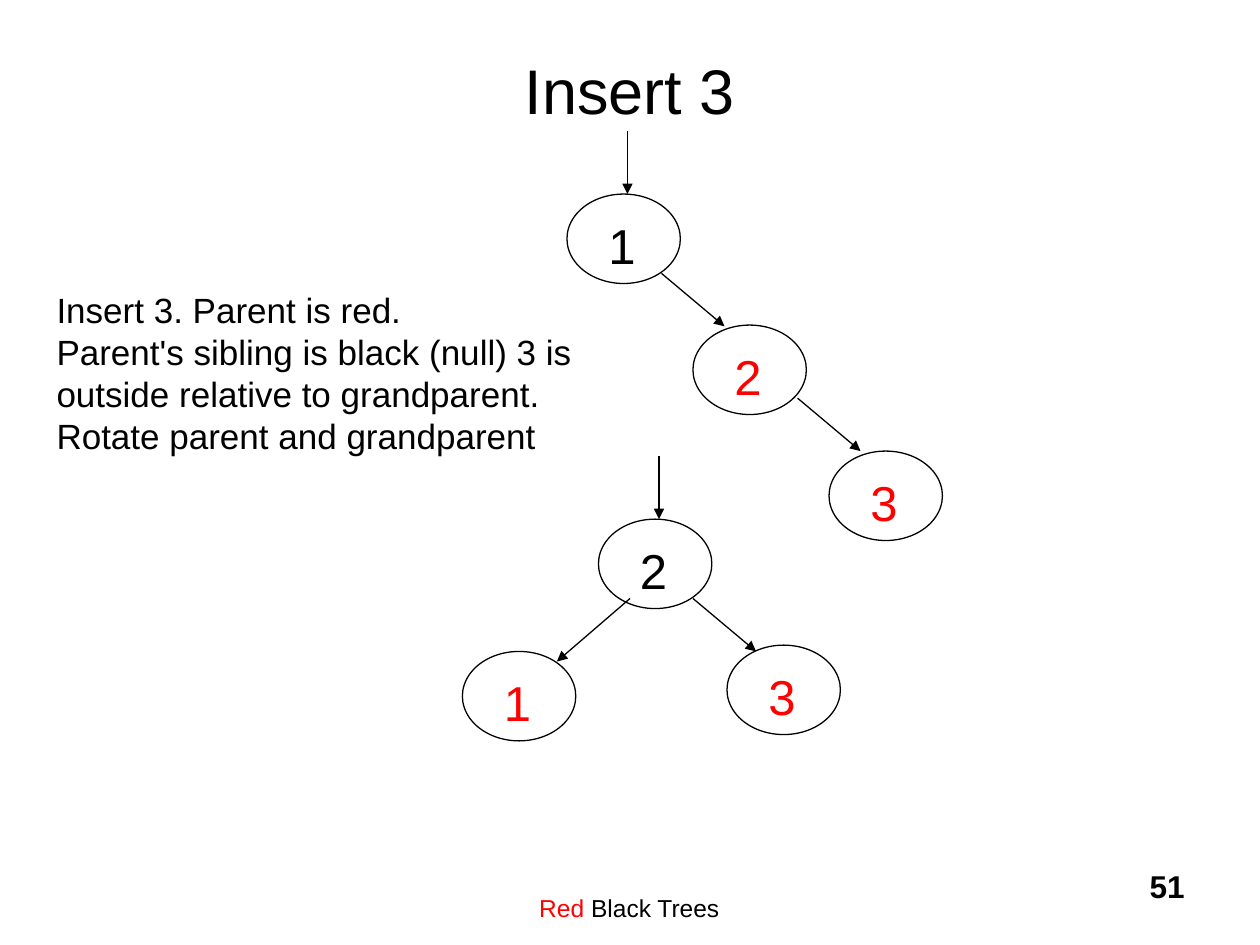
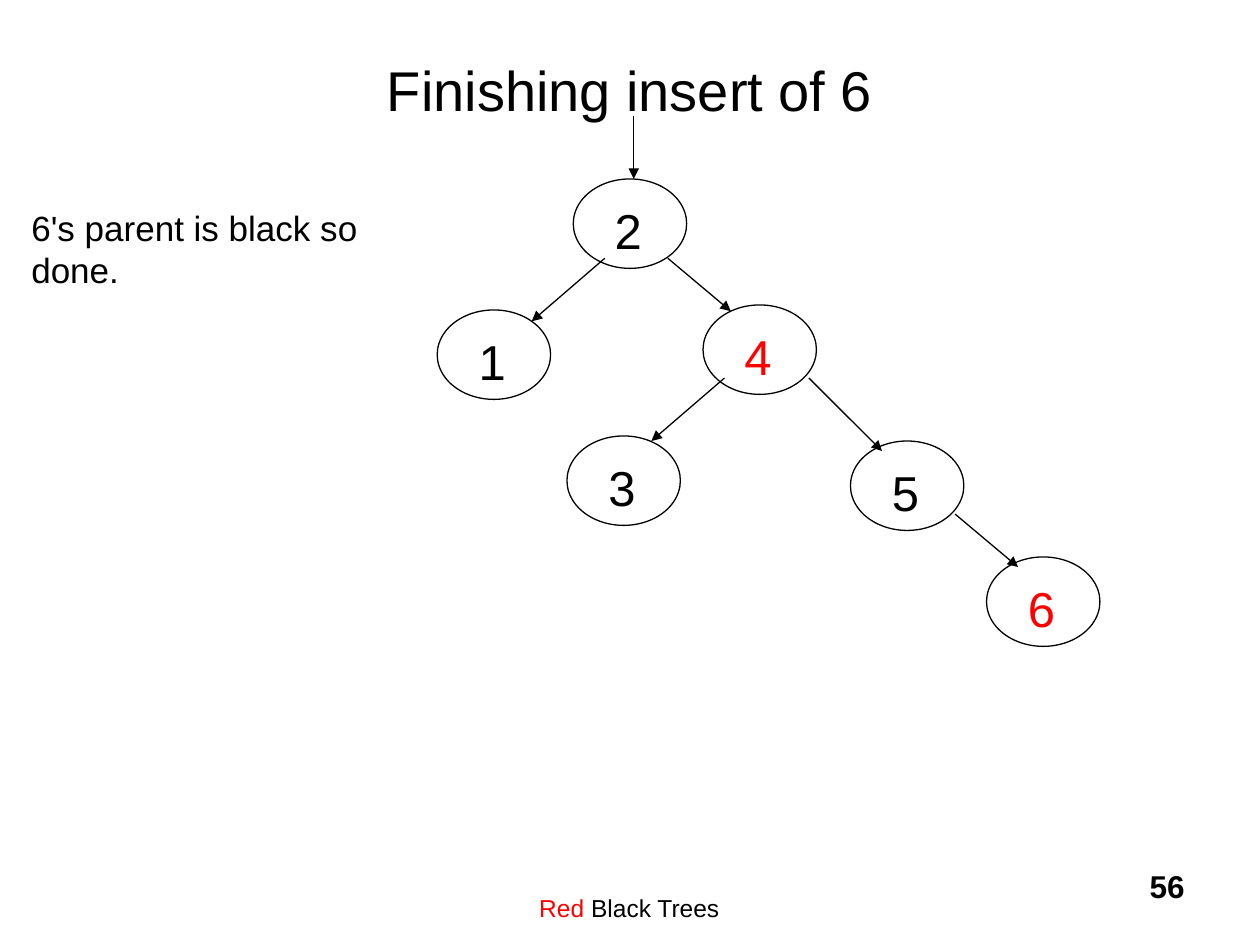
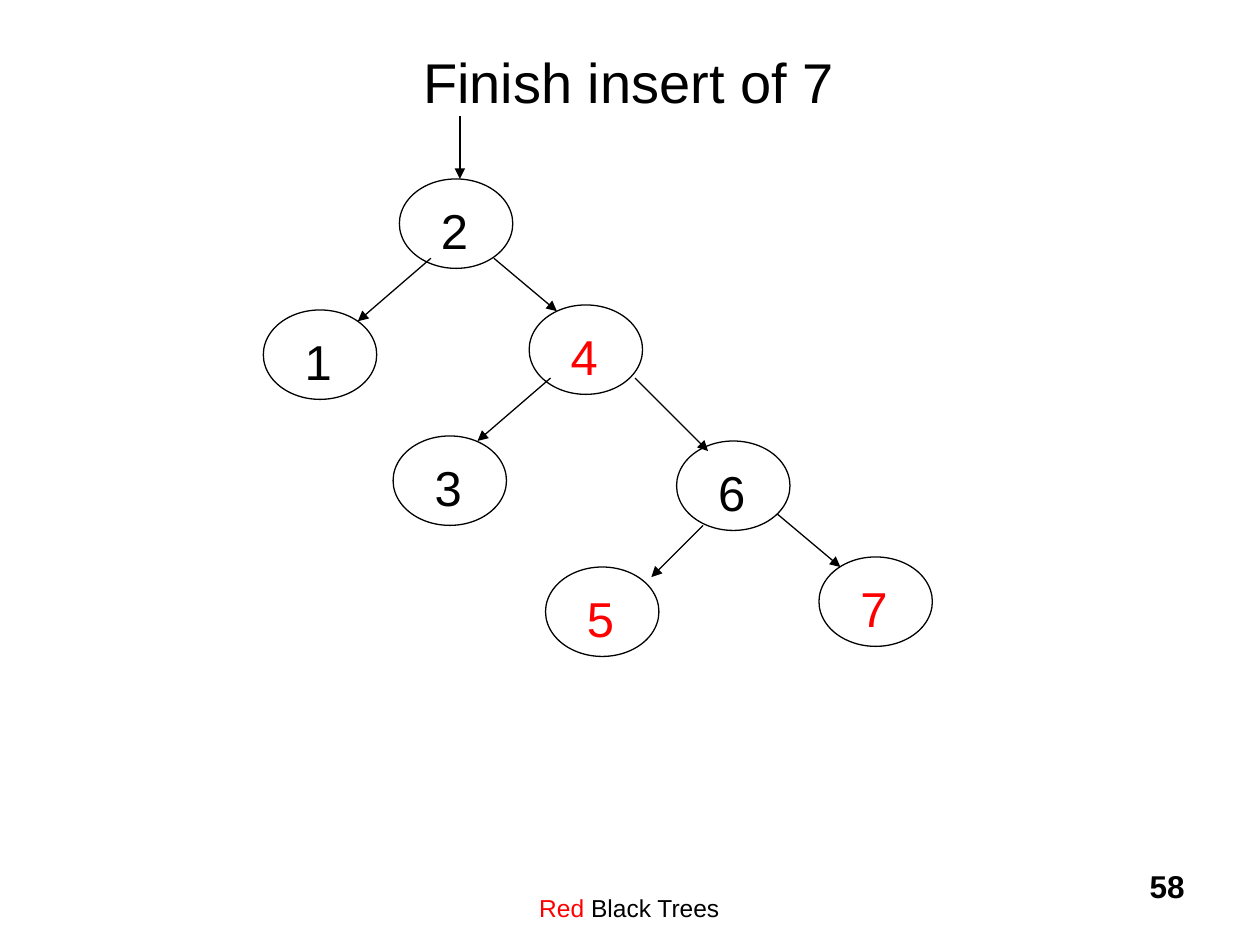
from typing import NamedTuple

from lxml.etree import SubElement
from pptx import Presentation
from pptx.dml.color import RGBColor
from pptx.enum.shapes import MSO_CONNECTOR as Connector, MSO_SHAPE as Preset
from pptx.enum.text import MSO_ANCHOR as Anchor, PP_ALIGN as Align
from pptx.oxml.ns import qn
from pptx.shapes.group import GroupShape
from pptx.slide import Slide
from pptx.util import Inches, Pt

BLACK = RGBColor(0x00, 0x00, 0x00)
RED = RGBColor(0xFF, 0x00, 0x00)
FONT = "Arial"
LINE_WIDTH = Pt(0.75)
NODE_WIDTH, NODE_HEIGHT = 0.9, 0.71


class Box(NamedTuple):
    left: float
    top: float
    width: float
    height: float


class Branch(NamedTuple):
    """Arrow that starts at an offset from the node's corner."""
    dx: float
    dy: float
    run: float
    drop: float


class Node(NamedTuple):
    """Tree node, placed relative to the root of its tree."""
    key: str
    dx: float
    dy: float
    color: RGBColor = BLACK
    branches: tuple[Branch, ...] = ()


class Tree(NamedTuple):
    left: float
    top: float
    nodes: tuple[Node, ...]


class Explanation(NamedTuple):
    box: Box
    text: str


class Step(NamedTuple):
    title: str
    title_size: int
    page: int
    trees: tuple[Tree, ...]
    explanation: Explanation | None = None
    title_box: Box = Box(0.75, 0.08, 8.5, 1.25)


# Arrows into the root and out of the nodes
ENTRY = Branch(0.48, -0.5, 0, 0.5)
LEFT = Branch(0.25, 0.63, -0.58, 0.5)
RIGHT = Branch(0.75, 0.63, 0.5, 0.42)
OUTER_LEFT = Branch(0.17, 0.58, -0.58, 0.5)
OUTER_RIGHT = Branch(0.83, 0.58, 0.5, 0.42)
STEEP_LEFT = Branch(0.21, 0.67, -0.41, 0.41)
STEEP_RIGHT = Branch(0.84, 0.58, 0.58, 0.58)

# Nodes that stay the same while 6 and 7 are inserted
SETTLED = (
    Node("2", 0, 0, branches=(LEFT, RIGHT)),
    Node("1", -1.08, 1.04),
    Node("4", 1.03, 1, RED, (OUTER_LEFT, STEEP_RIGHT)),
    Node("3", -0.05, 2.04),
)

STEPS = (
    Step(
        "Insert 3", 36, 51,
        (
            Tree(4.5, 1.54, (
                Node("1", 0, 0, branches=(RIGHT,)),
                Node("2", 1, 1.04, RED, (OUTER_RIGHT,)),
                Node("3", 2.08, 2.04, RED),
            )),
            Tree(4.75, 4.12, (
                Node("2", 0, 0, branches=(LEFT, RIGHT)),
                Node("1", -1.08, 1.05, RED),
                Node("3", 1.02, 1, RED),
            )),
        ),
        Explanation(
            Box(0.35, 2.24, 4.32, 1.45),
            "Insert 3. Parent is red. \vParent's sibling is black (null) 3 is "
            "outside relative to grandparent. Rotate parent and grandparent",
        ),
    ),
    Step(
        "Finishing insert of 6", 32, 56,
        (Tree(4.55, 1.42, SETTLED + (
            Node("5", 2.2, 2.08, branches=(OUTER_RIGHT,)),
            Node("6", 3.28, 3, RED),
        )),),
        Explanation(Box(0.15, 1.59, 3.38, 0.77), "6's parent is black so done."),
    ),
    Step(
        "Finish insert of 7", 32, 58,
        (Tree(3.17, 1.42, SETTLED + (
            Node("6", 2.2, 2.08, branches=(STEEP_LEFT, OUTER_RIGHT._replace(dx=0.8))),
            Node("5", 1.16, 3.08, RED),
            Node("7", 3.33, 3, RED),
        )),),
        title_box=Box(0.74, 0.02, 8.5, 1.25),
    ),
)


def add_text(parent: Slide | GroupShape, box: Box, runs: list[tuple[str, RGBColor]],
             size: int, align: Align = Align.LEFT, bold: bool = False, **frame_format):
    """Add one paragraph of coloured runs; frame_format sets the text frame."""
    frame = parent.shapes.add_textbox(*map(Inches, box)).text_frame
    for attribute, value in {"word_wrap": True, **frame_format}.items():
        setattr(frame, attribute, value)
    paragraph = frame.paragraphs[0]
    paragraph.alignment = align
    for text, color in runs:
        for position, part in enumerate(text.split("\v")):
            if position:
                paragraph.add_line_break()
            run = paragraph.add_run()
            run.text = part
            font_format = {"name": FONT, "size": Pt(size), "bold": bold}
            for attribute, value in font_format.items():
                setattr(run.font, attribute, value)
            run.font.color.rgb = color


def draw_arrow(slide: Slide, left: float, top: float, branch: Branch) -> None:
    x, y = left + branch.dx, top + branch.dy
    ends = (x, y, x + branch.run, y + branch.drop)
    arrow = slide.shapes.add_connector(Connector.STRAIGHT, *map(Inches, ends))
    arrow.line.color.rgb = BLACK
    arrow.line.width = LINE_WIDTH
    SubElement(arrow.line._get_or_add_ln(), qn("a:tailEnd"), type="triangle")
    SubElement(arrow._element.spPr, qn("a:effectLst"))


def draw_node(slide: Slide, left: float, top: float, node: Node) -> None:
    group = slide.shapes.add_group_shape()
    outline = Box(left, top, NODE_WIDTH, NODE_HEIGHT)
    ellipse = group.shapes.add_shape(Preset.OVAL, *map(Inches, outline))
    ellipse.shadow.inherit = False
    ellipse.fill.background()
    ellipse.line.color.rgb = BLACK
    ellipse.line.width = LINE_WIDTH
    add_text(group, Box(left + 0.23, top + 0.12, 0.42, 0.57),
             [(node.key, node.color)], 28, word_wrap=False)


def draw_tree(slide: Slide, tree: Tree) -> None:
    draw_arrow(slide, tree.left, tree.top, ENTRY)
    for node in tree.nodes:
        left, top = tree.left + node.dx, tree.top + node.dy
        draw_node(slide, left, top, node)
        for branch in node.branches:
            draw_arrow(slide, left, top, branch)


def draw_footer(slide: Slide, page: int) -> None:
    add_text(slide, Box(3.08, 6.83, 3.83, 0.5), [("Red", RED), (" Black Trees", BLACK)],
             14, Align.CENTER, margin_top=Inches(0.28), margin_bottom=0)
    add_text(slide, Box(7.42, 6.83, 2.08, 0.5), [(str(page), BLACK)],
             18, Align.RIGHT, bold=True)


def draw_step(slide: Slide, step: Step) -> None:
    draw_footer(slide, step.page)
    add_text(slide, step.title_box, [(step.title, BLACK)], step.title_size,
             Align.CENTER, vertical_anchor=Anchor.MIDDLE)
    for tree in step.trees:
        draw_tree(slide, tree)
    if step.explanation:
        add_text(slide, step.explanation.box, [(step.explanation.text, BLACK)], 20)


def main() -> None:
    deck = Presentation()
    deck.slide_width, deck.slide_height = Inches(10), Inches(7.5)
    blank = deck.slide_layouts[6]
    for step in STEPS:
        draw_step(deck.slides.add_slide(blank), step)
    deck.save("out.pptx")


if __name__ == "__main__":
    main()
